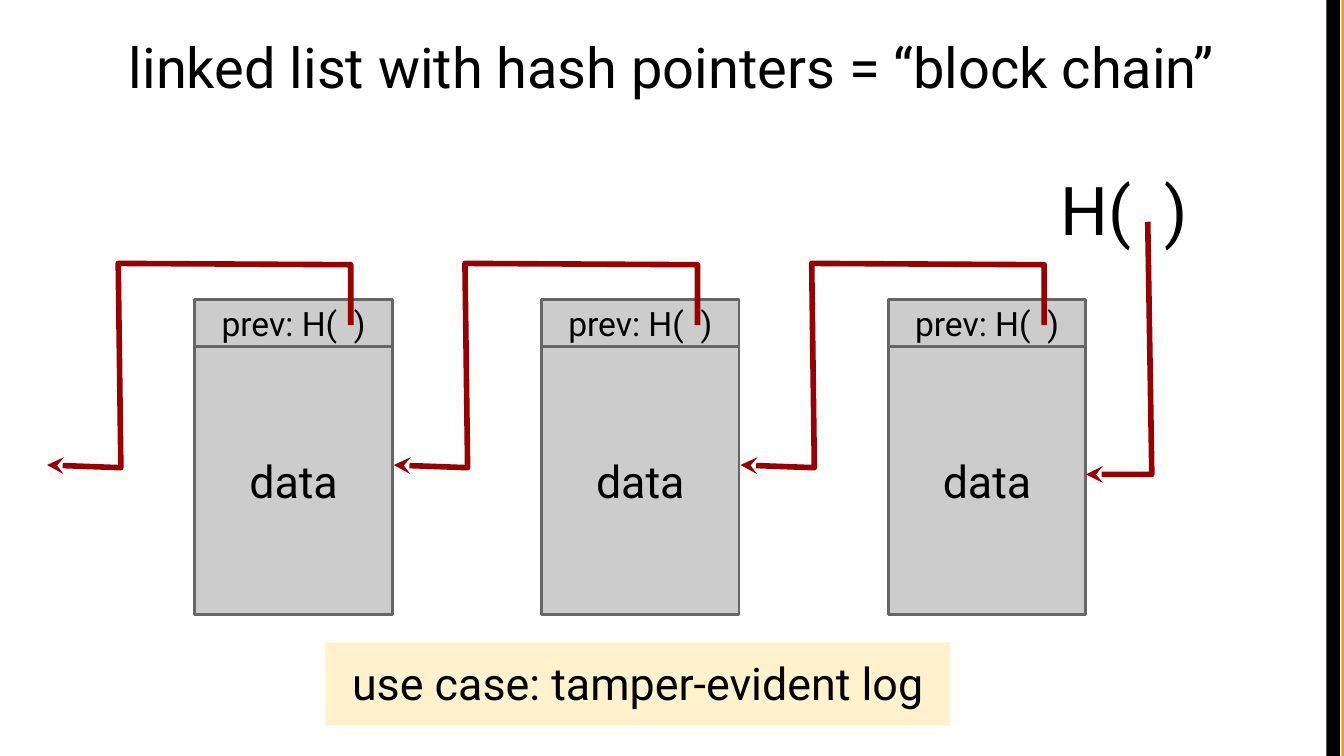
import pptx
import pptx.util
import pptx.dml.color
import pptx.enum.shapes
import pptx.enum.text
import pptx.oxml.ns
import lxml.etree

THEME = {
    "font": "Roboto",
    "text": "000000",
    "block": "CCCCCC",
    "border": "666666",
    "pointer": "990000",
    "highlight": "FFF2CC",
    "black stripe": "000000",
    "orange stripe": "FF9900",
    "title size": 30,
    "data size": 24,
    "previous size": 18,
    "head size": 36,
    "use case size": 24,
}
RECTANGLE = pptx.enum.shapes.MSO_SHAPE.RECTANGLE
CENTER = pptx.enum.text.PP_ALIGN.CENTER
LEFT = pptx.enum.text.PP_ALIGN.LEFT
TOP = pptx.enum.text.MSO_ANCHOR.TOP
MIDDLE = pptx.enum.text.MSO_ANCHOR.MIDDLE

presentation = pptx.Presentation()
presentation.slide_width = pptx.util.Inches(10)
presentation.slide_height = presentation.slide_width * 9 // 16
column = presentation.slide_width // 100
slide = presentation.slides.add_slide(presentation.slide_layouts[1])


def color(name):
    return pptx.dml.color.RGBColor.from_string(THEME[name])


def set_box(shape, box, text, size, alignment=CENTER, anchor=MIDDLE):
    shape.left, shape.top, shape.width, shape.height = [
        round(length * column) for length in box]
    frame = shape.text_frame
    frame.word_wrap = True
    frame.auto_size = pptx.enum.text.MSO_AUTO_SIZE.NONE
    frame.vertical_anchor = anchor
    frame.margin_left = frame.margin_right = column
    frame.margin_top = frame.margin_bottom = column
    frame.text = text
    paragraph = frame.paragraphs[0]
    paragraph.alignment = alignment
    paragraph.space_before = pptx.util.Pt(0)
    properties = paragraph._p.get_or_add_pPr()
    properties.set("marL", "0")
    properties.set("indent", "0")
    lxml.etree.SubElement(properties, pptx.oxml.ns.qn("a:buNone"))
    paragraph.font.name = THEME["font"]
    paragraph.font.size = pptx.util.Pt(THEME[size])
    paragraph.font.color.rgb = color("text")


for name, left, width in (("orange stripe", 99.8, 0.2), ("black stripe", 98.7, 1)):
    stripe = slide.shapes.add_shape(
        RECTANGLE, round(left * column), 0, round(width * column), presentation.slide_height)
    stripe.shadow.inherit = False
    stripe.fill.solid()
    stripe.fill.fore_color.rgb = color(name)
    stripe.line.fill.background()

set_box(slide.shapes.title, (5, 1.4, 90, 7.5),
        "linked list with hash pointers = “block chain”", "title size", anchor=TOP)

use_case = slide.placeholders[1]
use_case.fill.solid()
use_case.fill.fore_color.rgb = color("highlight")
set_box(use_case, (24.2, 47.8, 46.5, 6.2),
        "use case: tamper-evident log", "use case size", anchor=TOP)

block_lefts = [14.5 + 25.8 * index for index in range(3)]
for block_left in block_lefts:
    block = slide.shapes.add_group_shape()
    for text, size, top, height in (
            ("data", "data size", 25.8, 19.9),
            ("prev: H(  )", "previous size", 22.3, 3.5)):
        cell = block.shapes.add_shape(RECTANGLE, 0, 0, column, column)
        cell.shadow.inherit = False
        cell.fill.solid()
        cell.fill.fore_color.rgb = color("block")
        cell.line.color.rgb = color("border")
        cell.line.width = pptx.util.Pt(1.5)
        set_box(cell, (block_left, top, 14.7, height), text, size)

head = slide.shapes.add_textbox(0, 0, column, column)
set_box(head, (77.9, 11.5, 15.5, 5), "H(  )", "head size", LEFT, TOP)

pointer_routes = [
    [(left + 11.6, 24.2), (left + 11.6, 19.7), (left - 5.7, 19.6),
     (left - 5.5, 34.8), (left - 11, 34.6)]
    for left in block_lefts]
pointer_routes.append([(85.4, 16.5), (85.7, 35.3), (80.8, 35.3)])

for route in pointer_routes:
    points = [(round(x * column), round(y * column)) for x, y in route]
    builder = slide.shapes.build_freeform(*points[0])
    builder.add_line_segments(points[1:], close=False)
    pointer = builder.convert_to_shape()
    pointer.shadow.inherit = False
    pointer.fill.background()
    pointer.line.color.rgb = color("pointer")
    pointer.line.width = pptx.util.Pt(3)
    outline = pointer.line._get_or_add_ln()
    lxml.etree.SubElement(outline, pptx.oxml.ns.qn("a:round"))
    lxml.etree.SubElement(outline, pptx.oxml.ns.qn("a:tailEnd"), type="stealth")

presentation.save("out.pptx")
